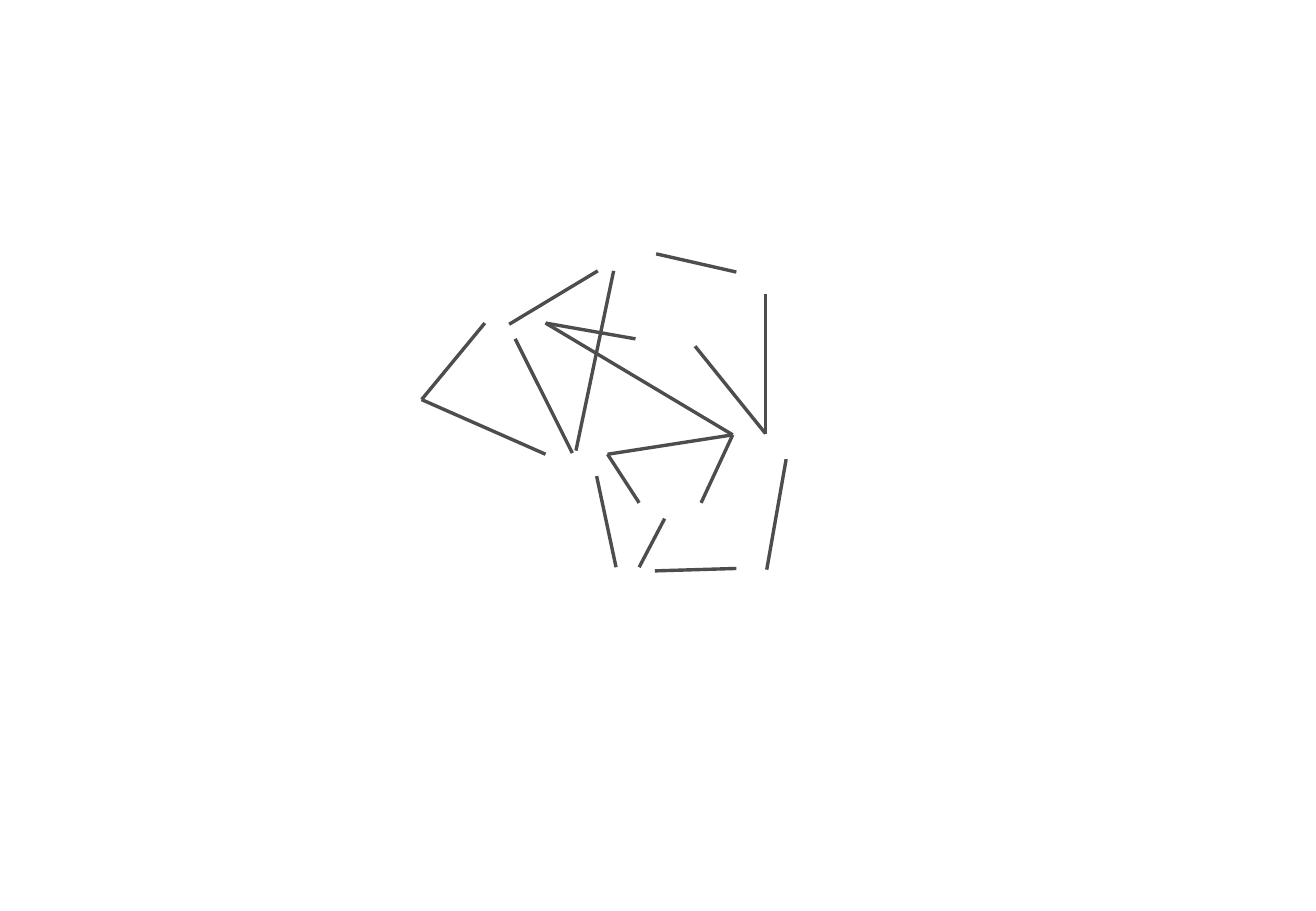
import pptx
import pptx.dml.color
import pptx.enum.shapes
import pptx.oxml.ns
import pptx.util
from dataclasses import dataclass


@dataclass(frozen=True)
class Theme:
    edge_color: str = "4D4D4D"
    edge_width: float = 2


THEME = Theme()

# The slide is a grid of square cells; points are (column, row).
CELL = pptx.util.Inches(0.01)
COLUMNS, ROWS = 1083, 750

# Corners where several edges of the network meet
WEST = (347, 329)
UPPER_LEFT = (449, 266)
CENTER = (500, 374)
EAST_INNER = (603, 358)
EAST_OUTER = (630, 357)

EDGES = [
    ((424, 279), (471, 373)),
    ((474, 371), (505, 223)),
    ((399, 266), WEST),
    (WEST, (449, 374)),
    ((491, 392), (507, 467)),
    ((547, 427), (526, 467)),
    (CENTER, (526, 414)),
    (CENTER, EAST_INNER),
    ((577, 414), EAST_INNER),
    ((647, 378), (631, 469)),
    ((539, 470), (606, 468)),
    ((572, 285), EAST_OUTER),
    (UPPER_LEFT, EAST_INNER),
    (UPPER_LEFT, (523, 279)),
    ((419, 267), (492, 223)),
    ((540, 209), (606, 224)),
    ((630, 242), EAST_OUTER),
]


def add_edge(network, start, end):
    ends = [CELL * position for position in (*start, *end)]
    edge = network.shapes.add_connector(
        pptx.enum.shapes.MSO_CONNECTOR.STRAIGHT, *ends)
    edge.line.color.rgb = pptx.dml.color.RGBColor.from_string(THEME.edge_color)
    edge.line.width = pptx.util.Pt(THEME.edge_width)
    properties = edge._element.spPr
    properties.append(pptx.oxml.parse_xml(
        f"<a:effectLst {pptx.oxml.ns.nsdecls('a')}/>"))


def main():
    deck = pptx.Presentation()
    size = {"slide_width": CELL * COLUMNS, "slide_height": CELL * ROWS}
    for name, value in size.items():
        setattr(deck, name, value)
    slide = deck.slides.add_slide(deck.slide_layouts[6])
    network = slide.shapes.add_group_shape()
    for start, end in EDGES:
        add_edge(network, start, end)
    deck.save("out.pptx")


if __name__ == "__main__":
    main()
